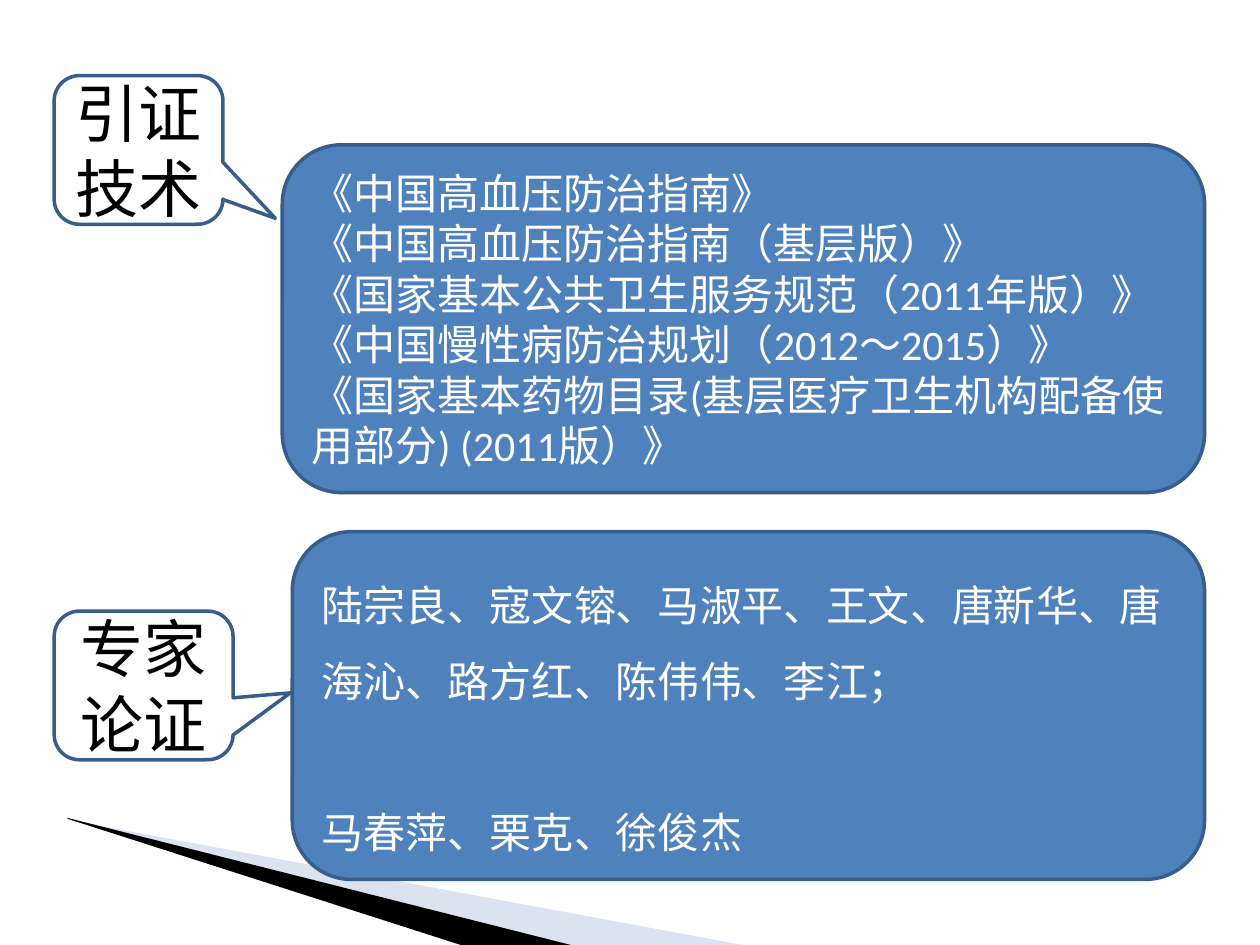
from lxml import etree
from pptx import Presentation
from pptx.dml.color import RGBColor
from pptx.enum.shapes import MSO_SHAPE
from pptx.enum.text import MSO_ANCHOR, PP_ALIGN
from pptx.oxml.ns import qn
from pptx.util import Inches, Pt

CALL = MSO_SHAPE.ROUNDED_RECTANGULAR_CALLOUT
ROUND = MSO_SHAPE.ROUNDED_RECTANGLE
MID = MSO_ANCHOR.MIDDLE
LEFT, MIDDLE = PP_ALIGN.LEFT, PP_ALIGN.CENTER
BLUE = RGBColor(0x4F, 0x81, 0xBD)
EDGE = RGBColor(0x38, 0x5D, 0x8A)
PALE = RGBColor(0xA6, 0xB9, 0xDB)
BLACK = RGBColor(0, 0, 0)
WHITE = RGBColor(255, 255, 255)

COLS, ROWS = 100, 75
EDGE_L, EDGE_R = 4.3, 95.6
TAG_H, BOX_H = 11.8, 27.6

WEDGES = [
    (PALE, 40, [(5.5, 65.1), (59.5, 75.1), (45.6, 75.1), (5.5, 65)]),
    (BLACK, 100, [(5.3, 64.9), (45.7, 75.1), (37.2, 75.2), (5.4, 65)]),
]
PARTS = [
    {"tag": ["引证", "技术"], "tag_y": 6, "tag_w": 13.4, "tip": (0.81, 0.46),
     "box_x": 22.4, "box_y": 11.5, "lead": 1, "gap": 0,
     "lines": ["《中国高血压防治指南》",
               "《中国高血压防治指南（基层版）》",
               "《国家基本公共卫生服务规范（2011年版）》",
               "《中国慢性病防治规划（2012～2015）》",
               "《国家基本药物目录(基层医疗卫生机构配备使用部分) (2011版）》"]},
    {"tag": ["专家", "论证"], "tag_y": 48.5, "tag_w": 14.2, "tip": (0.82, 0.05),
     "box_x": 23.2, "box_y": 42.2, "lead": 1.5, "gap": 43,
     "lines": ["陆宗良、寇文镕、马淑平、王文、唐新华、唐海沁、路方红、陈伟伟、李江；",
               "马春萍、栗克、徐俊杰"]},
]
TAG = {"size": Pt(36), "color": BLACK, "align": MIDDLE}
BOX = {"size": Pt(24), "color": WHITE, "align": LEFT}

deck = Presentation()
deck.slide_width, deck.slide_height = Inches(10), Inches(7.5)
slide = deck.slides.add_slide(deck.slide_layouts[6])
shapes = slide.shapes


def grid(x, y):
    return int(x * deck.slide_width / COLS), int(y * deck.slide_height / ROWS)


def wedge(color, alpha, spots):
    start, *rest = [grid(*spot) for spot in spots]
    pen = shapes.build_freeform(*start)
    pen.add_line_segments(rest, close=True)
    shape = pen.convert_to_shape()
    shape.shadow.inherit = False
    shape.line.fill.background()
    shape.fill.solid()
    shape.fill.fore_color.rgb = color
    if alpha < 100:
        tint = shape.fill._xPr.find(".//" + qn("a:srgbClr"))
        etree.SubElement(tint, qn("a:alpha"), val=str(alpha * 1000))


def panel(kind, place, size, bends, fill, lines, look, lead=1, gap=0):
    shape = shapes.add_shape(kind, *grid(*place), *grid(*size))
    shape.shadow.inherit = False
    for i, bend in enumerate(bends):
        shape.adjustments[i] = bend
    if fill is None:
        shape.fill.background()
    else:
        shape.fill.solid()
        shape.fill.fore_color.rgb = fill
    shape.line.color.rgb = EDGE
    shape.line.width = Pt(2)
    frame = shape.text_frame
    for key, val in {"word_wrap": True, "vertical_anchor": MID}.items():
        setattr(frame, key, val)
    for i, line in enumerate(lines):
        para = frame.add_paragraph() if i else frame.paragraphs[0]
        para.text = line
        form = {"alignment": look["align"], "line_spacing": lead,
                "space_before": Pt(gap if i else 0)}
        for key, val in form.items():
            setattr(para, key, val)
        font = para.runs[0].font
        for key, val in {"name": "Calibri", "size": look["size"]}.items():
            setattr(font, key, val)
        font.color.rgb = look["color"]


for item in WEDGES:
    wedge(*item)
for part in PARTS:
    panel(CALL, (EDGE_L, part["tag_y"]), (part["tag_w"], TAG_H),
          (*part["tip"], 0.17), None, part["tag"], TAG)
    panel(ROUND, (part["box_x"], part["box_y"]),
          (EDGE_R - part["box_x"], BOX_H), (0.17,), BLUE,
          part["lines"], BOX, part["lead"], part["gap"])

deck.save("out.pptx")
